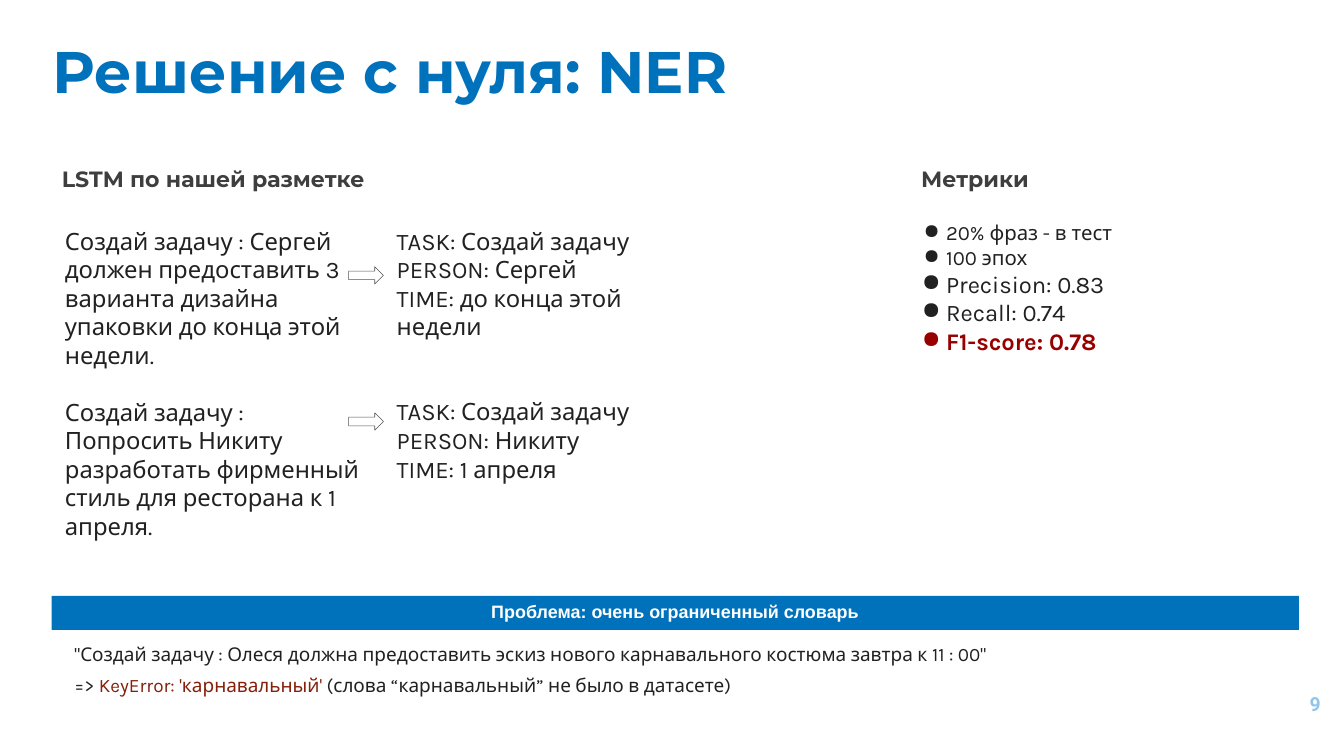
from lxml import etree
from pptx import Presentation
from pptx.dml.color import RGBColor
from pptx.enum.shapes import MSO_SHAPE
from pptx.enum.text import MSO_ANCHOR, MSO_AUTO_SIZE, PP_ALIGN
from pptx.oxml.ns import qn
from pptx.util import Cm, Pt

RECTANGLE, ARROW = MSO_SHAPE.RECTANGLE, MSO_SHAPE.RIGHT_ARROW
TOP, MIDDLE = MSO_ANCHOR.TOP, MSO_ANCHOR.MIDDLE
LEFT, CENTER, RIGHT = PP_ALIGN.LEFT, PP_ALIGN.CENTER, PP_ALIGN.RIGHT
NO_AUTOFIT = MSO_AUTO_SIZE.NONE
TITLE_ONLY = 5

COLORS = {
    "blue": "0072BC", "pale": "92C5EB", "gray": "3E3E3E", "text": "212121",
    "error": "85200C", "score": "980000", "white": "FFFFFF", "outline": "525252",
}
STYLES = {
    "title": ("Montserrat", 85, "blue", True),
    "number": ("Roboto", 28, "pale", True),
    "heading": ("Montserrat", 32, "gray", True),
    "banner": ("Arial", 26, "white", True),
    "note": ("Karla", 27.5, "text", False),
    "error": ("Karla", 27.5, "error", False),
    "body": ("Karla", 34.5, "text", False),
    "small": ("Karla", 29.5, "text", False),
    "score": ("Karla", 34.5, "score", True),
}

TITLE = "Решение с нуля: NER"
PAGE_NUMBER = "9"
HEADINGS = ("LSTM по нашей разметке", "Метрики")
BANNER = "Проблема: очень ограниченный словарь"
PHRASES = [
    "Создай задачу : Сергей должен предоставить 3 варианта дизайна упаковки до конца этой недели.",
    "Создай задачу : Попросить Никиту разработать фирменный стиль для ресторана к 1 апреля.",
]
ENTITIES = [
    ["TASK: Создай задачу", "PERSON: Сергей", "TIME: до конца этой недели"],
    ["TASK: Создай задачу", "PERSON: Никиту", "TIME: 1 апреля"],
]
METRICS = [
    ("20% фраз - в тест", "small"),
    ("100 эпох", "small"),
    ("Precision: 0.83", "body"),
    ("Recall: 0.74", "body"),
    ("F1-score: 0.78", "score"),
]
PROBLEM = [
    [('"Создай задачу : Олеся должна предоставить эскиз нового карнавального костюма завтра к 11 : 00"', "note")],
    [("=> ", "note"), ("KeyError: 'карнавальный' ", "error"),
     ("(слова “карнавальный” не было в датасете)", "note")],
]

COLUMN_TOP, COLUMN_WIDTH, COLUMN_HEIGHT = 11.33, 15.6, 17.58
HEADING_TOP = 8.23
ARROW_TOPS = (13.64, 21.11)
LINE_GAP = 41


def color(name):
    return RGBColor.from_string(COLORS[name])


def place(shape, left, top, width, height):
    shape.left, shape.top = Cm(left), Cm(top)
    shape.width, shape.height = Cm(width), Cm(height)


def set_frame(shape, anchor=TOP):
    frame = shape.text_frame
    frame.word_wrap = True
    frame.auto_size = NO_AUTOFIT
    frame.vertical_anchor = anchor
    frame.margin_left = frame.margin_right = Cm(0.25)
    frame.margin_top = frame.margin_bottom = Cm(0.25)
    return frame


def add_box(page, left, top, width, height, anchor=TOP):
    box = page.shapes.add_textbox(Cm(left), Cm(top), Cm(width), Cm(height))
    return set_frame(box, anchor)


def add_shape(page, kind, left, top, width, height, fill, line=None):
    shape = page.shapes.add_shape(kind, Cm(left), Cm(top), Cm(width), Cm(height))
    shape.shadow.inherit = False
    shape.fill.solid()
    shape.fill.fore_color.rgb = color(fill)
    if line:
        shape.line.color.rgb = color(line)
        shape.line.width = Pt(0.75)
    else:
        shape.line.fill.background()
    return shape


def write(frame, spans, align=LEFT, before=0, spacing=1.0):
    para = frame.paragraphs[0]
    if para.runs:
        para = frame.add_paragraph()
    para.alignment = align
    para.space_before = Pt(before)
    para.line_spacing = spacing
    for text, style in spans:
        span = para.add_run()
        span.text = text
        name, size, tone, bold = STYLES[style]
        span.font.name, span.font.size, span.font.bold = name, Pt(size), bold
        span.font.color.rgb = color(tone)
    return para


def add_bullet(para, style):
    tone = STYLES[style][2]
    hanging = 1.14 if style == "small" else 1.24
    properties = para._p.get_or_add_pPr()
    properties.set("marL", str(Cm(1.27)))
    properties.set("indent", str(-Cm(hanging)))
    bullet_color = etree.SubElement(properties, qn("a:buClr"))
    etree.SubElement(bullet_color, qn("a:srgbClr"), val=COLORS[tone])
    etree.SubElement(properties, qn("a:buChar"), char="●")


def main():
    deck = Presentation()
    deck.slide_width, deck.slide_height = Cm(68.73), Cm(38.1)
    page = deck.slides.add_slide(deck.slide_layouts[TITLE_ONLY])

    title = page.shapes.title
    place(title, 2.46, 1.55, 64.16, 8.2)
    write(set_frame(title), [(TITLE, "title")])

    number = add_box(page, 63.68, 34.54, 4.11, 2.92, MIDDLE)
    write(number, [(PAGE_NUMBER, "number")], RIGHT)

    heading = add_box(page, 2.92, HEADING_TOP, 21.39, 2.4)
    write(heading, [(HEADINGS[0], "heading")])

    banner = add_shape(page, RECTANGLE, 2.64, 30.48, 63.78, 1.73, "blue")
    write(set_frame(banner), [(BANNER, "banner")], CENTER)

    problem = add_box(page, 3.56, 32.21, 63.04, 3.43)
    for spans in PROBLEM:
        write(problem, spans, spacing=1.36)

    phrases = add_box(page, 3.07, COLUMN_TOP, COLUMN_WIDTH, COLUMN_HEIGHT)
    for index, phrase in enumerate(PHRASES):
        write(phrases, [(phrase, "body")], before=index * LINE_GAP)

    entities = add_box(page, 20.04, COLUMN_TOP, COLUMN_WIDTH, COLUMN_HEIGHT)
    for index, group in enumerate(ENTITIES):
        for row, entity in enumerate(group):
            gap = 2 * LINE_GAP if index and row == 0 else 0
            write(entities, [(entity, "body")], before=gap)

    for top in ARROW_TOPS:
        add_shape(page, ARROW, 17.83, top, 1.78, 0.89, "white", "outline")

    metrics = add_box(page, 46.86, HEADING_TOP, COLUMN_WIDTH, COLUMN_HEIGHT)
    write(metrics, [(HEADINGS[1], "heading")])
    for index, (metric, style) in enumerate(METRICS):
        para = write(metrics, [(metric, style)], before=0 if index else LINE_GAP)
        add_bullet(para, style)

    deck.save("out.pptx")


if __name__ == "__main__":
    main()
